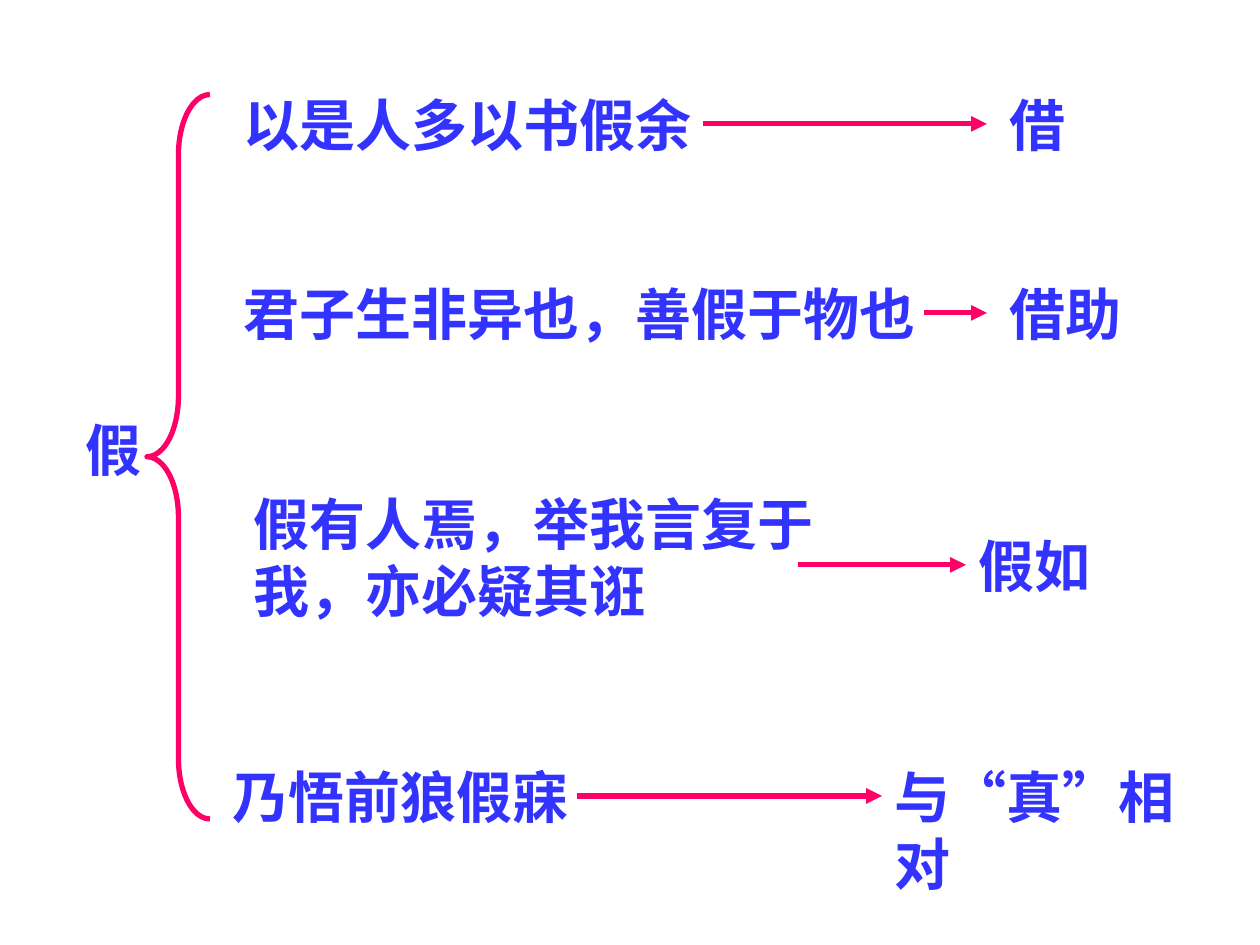
from dataclasses import dataclass

from lxml import etree
from pptx import Presentation
from pptx.dml.color import RGBColor
from pptx.enum.lang import MSO_LANGUAGE_ID
from pptx.enum.shapes import MSO_CONNECTOR, MSO_SHAPE
from pptx.enum.text import MSO_AUTO_SIZE
from pptx.oxml.ns import qn
from pptx.shapes.autoshape import Shape
from pptx.shapes.shapetree import GroupShapes, SlideShapes
from pptx.util import Pt

STRAIGHT = MSO_CONNECTOR.STRAIGHT
LEFT_BRACE = MSO_SHAPE.LEFT_BRACE
GROW_TO_FIT = MSO_AUTO_SIZE.SHAPE_TO_FIT_TEXT
CHINESE = MSO_LANGUAGE_ID.SIMPLIFIED_CHINESE

BLUE = RGBColor(0x33, 0x33, 0xFF)
PINK = RGBColor(0xFF, 0x00, 0x66)
FONT_NAME = "Times New Roman"
FONT_SIZE = Pt(32)
LINE_WIDTH = Pt(3)

EMU_PER_PX = 7620  # 120 px to the inch
LINE_HEIGHT = 76
LEFT_SIDE = 1


@dataclass(frozen=True)
class Label:
    text: str
    left: int
    top: int
    width: int
    height: int = LINE_HEIGHT


@dataclass(frozen=True)
class Usage:
    sentence: Label
    meaning: Label
    arrow_start: int
    arrow_end: int


HEADWORD = Label("假", 70, 390, 110)
USAGES = [
    Usage(Label("以是人多以书假余", 220, 80, 460),
          Label("借", 950, 80, 220), 670, 940),
    Usage(Label("君子生非异也，善假于物也", 220, 260, 680),
          Label("借助", 950, 260, 210), 880, 940),
    Usage(Label("假有人焉，举我言复于我，亦必疑其诳", 230, 460, 610, 140),
          Label("假如", 920, 500, 220), 760, 920),
    Usage(Label("乃悟前狼假寐", 210, 720, 580),
          Label("与“真”相对", 840, 720, 320), 550, 840),
]


def px(*lengths: int) -> list[int]:
    return [length * EMU_PER_PX for length in lengths]


def add_label(shapes: SlideShapes | GroupShapes, label: Label) -> Shape:
    box = shapes.add_textbox(*px(label.left, label.top, label.width, label.height))
    text_frame = box.text_frame
    text_frame.word_wrap = True
    text_frame.auto_size = GROW_TO_FIT
    text_frame.text = label.text
    font = text_frame.paragraphs[0].runs[0].font
    font.name = FONT_NAME
    font.size = FONT_SIZE
    font.bold = True
    font.color.rgb = BLUE
    font.language_id = CHINESE
    return box


def add_brace(shapes: SlideShapes) -> None:
    brace = shapes.add_shape(LEFT_BRACE, *px(140, 90, 60, 690))
    brace.adjustments[0] = 0.96
    brace.shadow.inherit = False
    brace.fill.background()
    brace.line.color.rgb = PINK
    brace.line.width = LINE_WIDTH


def add_arrow(shapes: SlideShapes, usage: Usage, meaning_box: Shape) -> None:
    """Draw a level arrow to the meaning, joined to its box where they touch."""
    middle = usage.meaning.top + LINE_HEIGHT // 2
    arrow = shapes.add_connector(
        STRAIGHT, *px(usage.arrow_start, middle, usage.arrow_end, middle))
    arrow.line.color.rgb = PINK
    arrow.line.width = LINE_WIDTH
    etree.SubElement(arrow.line._get_or_add_ln(), qn("a:tailEnd"), type="triangle")
    etree.SubElement(arrow._element.spPr, qn("a:effectLst"))
    if usage.arrow_end == usage.meaning.left:
        arrow.end_connect(meaning_box, LEFT_SIDE)


def main() -> None:
    presentation = Presentation()
    presentation.slide_width, presentation.slide_height = px(1200, 900)
    slide = presentation.slides.add_slide(presentation.slide_layouts[6])

    add_label(slide.shapes, HEADWORD)
    add_brace(slide.shapes)
    sentences = slide.shapes.add_group_shape()
    for usage in USAGES:
        add_label(sentences.shapes, usage.sentence)
    for usage in USAGES:
        meaning_box = add_label(slide.shapes, usage.meaning)
        add_arrow(slide.shapes, usage, meaning_box)

    presentation.save("out.pptx")


if __name__ == "__main__":
    main()
